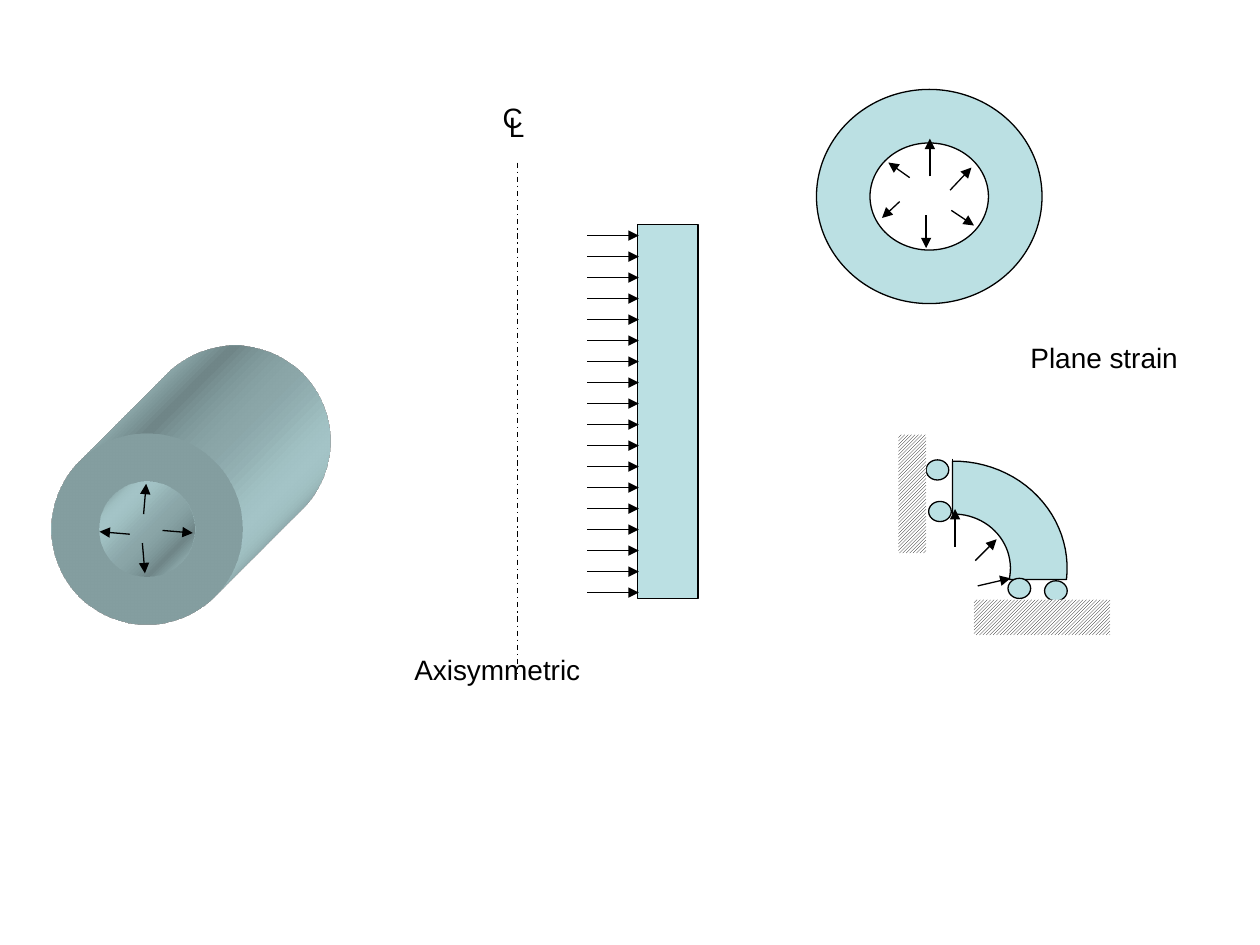
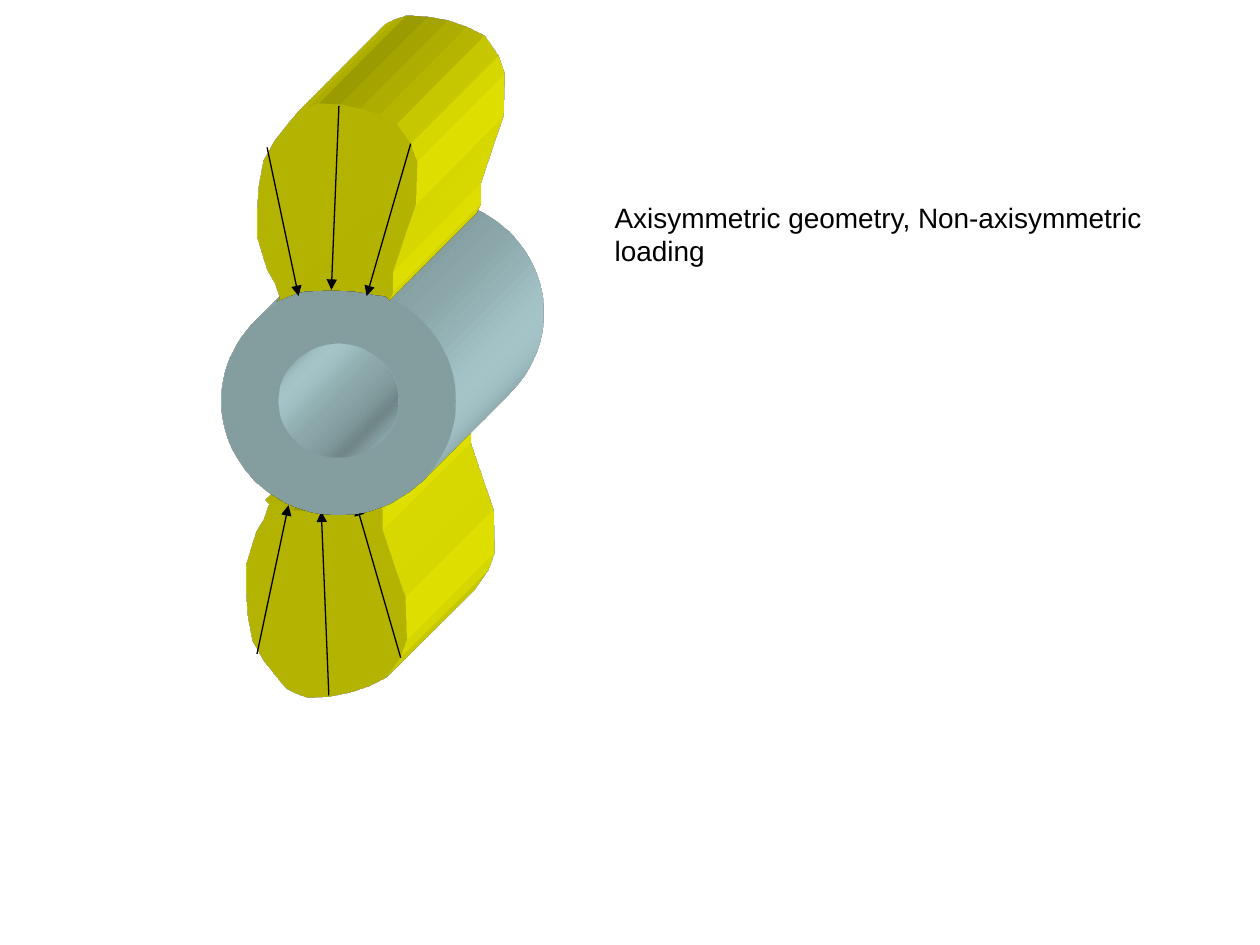
"""Build two slides on modelling a pressurised cylinder."""
from math import asin, cos, pi, sin

from lxml import etree
from pptx import Presentation
from pptx import util as u
from pptx.dml.color import RGBColor
from pptx.enum import dml, shapes, text
from pptx.oxml.ns import qn

BLACK = RGBColor(0x00, 0x00, 0x00)
WHITE = RGBColor(0xFF, 0xFF, 0xFF)
STEEL = RGBColor(0xBB, 0xE0, 0xE3)
YELLOW = RGBColor(0xFF, 0xFF, 0x00)
COLS, ROWS = 10, 7.5
DEPTH = 1801800
KIND = shapes.MSO_SHAPE


class Board:
    """Hold the drawing style and the current slide."""

    def __init__(self):
        self.deck = Presentation()
        self.deck.slide_width = u.Inches(10)
        self.deck.slide_height = u.Inches(7.5)
        self.col = self.deck.slide_width / COLS
        self.row = self.deck.slide_height / ROWS

    def start(self):
        """Open a blank slide."""
        self.items = self.deck.slides.add_slide(self.deck.slide_layouts[6]).shapes

    def place(self, *sizes):
        """Turn grid columns and rows into slide lengths."""
        return [round(n * (self.row if i % 2 else self.col)) for i, n in enumerate(sizes)]

    def paint(self, item, fill, edge=True):
        """Give a shape its fill and outline."""
        item.shadow.inherit = False
        item.fill.solid()
        item.fill.fore_color.rgb = fill
        if edge:
            item.line.color.rgb = BLACK
            item.line.width = u.Pt(0.75)
        else:
            item.line.fill.background()
        return item

    def shape(self, kind, box, fill=STEEL, edge=True):
        """Add a preset shape."""
        return self.paint(self.items.add_shape(kind, *self.place(*box)), fill, edge)

    def outline(self, points, fill, edge=True):
        """Add a closed outline."""
        spots = [self.place(*p) for p in points]
        pen = self.items.build_freeform(*spots[0])
        pen.add_line_segments(spots[1:], close=True)
        return self.paint(pen.convert_to_shape(), fill, edge)

    def hatch(self, box):
        """Add a hatched support."""
        item = self.shape(KIND.RECTANGLE, box, WHITE, False)
        item.fill.patterned()
        item.fill.pattern = dml.MSO_PATTERN.DARK_UPWARD_DIAGONAL
        item.fill.fore_color.rgb = BLACK
        item.fill.back_color.rgb = WHITE

    def line(self, *ends, head=False, dash=None):
        """Add a straight line, with an arrowhead if asked."""
        item = self.items.add_connector(shapes.MSO_CONNECTOR.STRAIGHT, *self.place(*ends))
        item.line.color.rgb = BLACK
        item.line.width = u.Pt(0.75)
        if dash:
            item.line.dash_style = dash
        if head:
            etree.SubElement(item.line._get_or_add_ln(), qn("a:tailEnd"), type="triangle")
        etree.SubElement(item._element.spPr, qn("a:effectLst"))

    def arrows(self, rows):
        """Add one arrow for each row of end points."""
        for ends in rows:
            self.line(*ends, head=True)

    def extrude(self, item, tint):
        """Stretch a shape back to the upper right."""
        props = item._element.spPr
        scene = etree.SubElement(props, qn("a:scene3d"))
        etree.SubElement(scene, qn("a:camera"), prst="legacyObliqueTopRight")
        etree.SubElement(scene, qn("a:lightRig"), rig="legacyFlat3", dir="b")
        solid = etree.SubElement(props, qn("a:sp3d"), extrusionH=str(DEPTH),
                                 prstMaterial="legacyMatte")
        for side in ("a:bevelT", "a:bevelB"):
            etree.SubElement(solid, qn(side), w="13500", h="13500", prst="angle")
        shade = etree.SubElement(solid, qn("a:extrusionClr"))
        etree.SubElement(shade, qn("a:srgbClr"), val=str(tint))

    def tube(self, box):
        """Add a hollow cylinder."""
        self.extrude(self.shape(KIND.DONUT, box, edge=False), STEEL)

    def label(self, words, box):
        """Add a text label."""
        frame = self.items.add_textbox(*self.place(*box)).text_frame
        frame.word_wrap = True
        frame.auto_size = text.MSO_AUTO_SIZE.SHAPE_TO_FIT_TEXT
        run = frame.paragraphs[0].add_run()
        run.text = words
        run.font.name = "Arial"
        run.font.size = u.Pt(16)
        run.font.color.rgb = BLACK


def bend(mid, radii, left, low, steps=24):
    """Return points on an ellipse between a left and a lower cut."""
    (x, y), (wide, high) = mid, radii
    first = -pi / 2 - asin(left / wide)
    last = asin(low / high)
    turns = [first + (last - first) * i / steps for i in range(steps + 1)]
    return [(x + wide * cos(t), y + high * sin(t)) for t in turns]


def draw_models(board):
    """Draw the cylinder with its axisymmetric and plane strain models."""
    board.start()
    board.tube((0.41, 3.44, 1.52, 1.52))
    board.arrows([(1.14, 4.08, 1.16, 3.84), (1.29, 4.21, 1.53, 4.23),
                  (1.03, 4.24, 0.79, 4.22), (1.13, 4.31, 1.15, 4.55)])

    board.line(4.11, 1.29, 4.11, 5.35, dash=dml.MSO_LINE.DASH_DOT)
    board.shape(KIND.RECTANGLE, (5.06, 1.78, 0.48, 2.97))
    levels = [1.87 + i / 6 for i in range(18)]
    board.arrows([(4.66, y, 5.07, y) for y in levels])

    board.shape(KIND.DONUT, (6.48, 0.71, 1.79, 1.7))
    board.arrows([(7.38, 1.4, 7.38, 1.1), (7.54, 1.51, 7.71, 1.33),
                  (7.55, 1.67, 7.73, 1.79), (7.35, 1.71, 7.35, 1.97),
                  (7.14, 1.6, 7, 1.73), (7.22, 1.41, 7.05, 1.29)])

    mid = (7.57, 4.51)
    outer = bend(mid, (0.9, 0.85), 0.01, 0.09)
    inner = bend(mid, (0.45, 0.43), 0.01, 0.09)
    board.outline(outer + inner[::-1], STEEL)
    board.arrows([(7.58, 4.34, 7.58, 4.04), (7.74, 4.45, 7.91, 4.28)])
    board.line(7.56, 3.64, 7.56, 4.06)
    board.line(8, 4.6, 8.46, 4.6)
    for x, y in [(7.35, 3.65), (7.37, 3.98), (8, 4.59), (8.29, 4.61)]:
        board.shape(KIND.OVAL, (x, y, 0.18, 0.16))
    board.hatch((7.13, 3.45, 0.22, 0.94))
    board.hatch((7.73, 4.76, 1.08, 0.28))
    board.arrows([(7.76, 4.65, 8.02, 4.59)])

    board.label("Plane strain", (8.08, 2.65, 1.71, 0.37))
    board.label("Axisymmetric", (3.19, 5.13, 2.7, 0.37))
    board.label("C", (3.89, 0.75, 0.57, 0.37))
    board.label("L", (3.94, 0.82, 0.46, 0.37))


LOBE = [(2.22, 2.36), (2.18, 2.24), (2.12, 2.14), (2.04, 1.88), (2.04, 1.68),
        (2.05, 1.48), (2.09, 1.27), (2.18, 1.11), (2.31, 0.95), (2.36, 0.89),
        (2.44, 0.85), (2.53, 0.82), (2.7, 0.83), (2.86, 0.86), (3.01, 0.91),
        (3.15, 0.98), (3.26, 1.14), (3.31, 1.28), (3.3, 1.62), (3.23, 1.82),
        (3.15, 2.06), (3.12, 2.15), (3.12, 2.31), (3.09, 2.38), (3.06, 2.35),
        (2.94, 2.33), (2.82, 2.31), (2.63, 2.3), (2.41, 2.31), (2.34, 2.33),
        (2.19, 2.39)]
LOADS = [(2.12, 1.17, 2.37, 2.35), (2.69, 0.84, 2.63, 2.3), (3.26, 1.14, 2.91, 2.35)]


def flip(points):
    """Mirror points from the upper load to the lower one."""
    return [(x - 0.08, 6.36 - y) for x, y in points]


def draw_lobe(board, turn=list):
    """Draw one pressure lobe with its arrows."""
    board.extrude(board.outline(turn(LOBE), YELLOW, False), YELLOW)
    for a, b, c, d in LOADS:
        tail, tip = turn([(a, b), (c, d)])
        board.line(*tail, *tip, head=True)


def draw_loading(board):
    """Draw the cylinder under two opposite loads."""
    board.start()
    draw_lobe(board, flip)
    board.tube((1.76, 2.27, 1.86, 1.81))
    draw_lobe(board)
    board.label("Axisymmetric geometry, Non-axisymmetric loading", (4.78, 1.54, 4.41, 0.64))


def main():
    """Draw both slides and save them."""
    board = Board()
    draw_models(board)
    draw_loading(board)
    board.deck.save("out.pptx")


if __name__ == "__main__":
    main()
